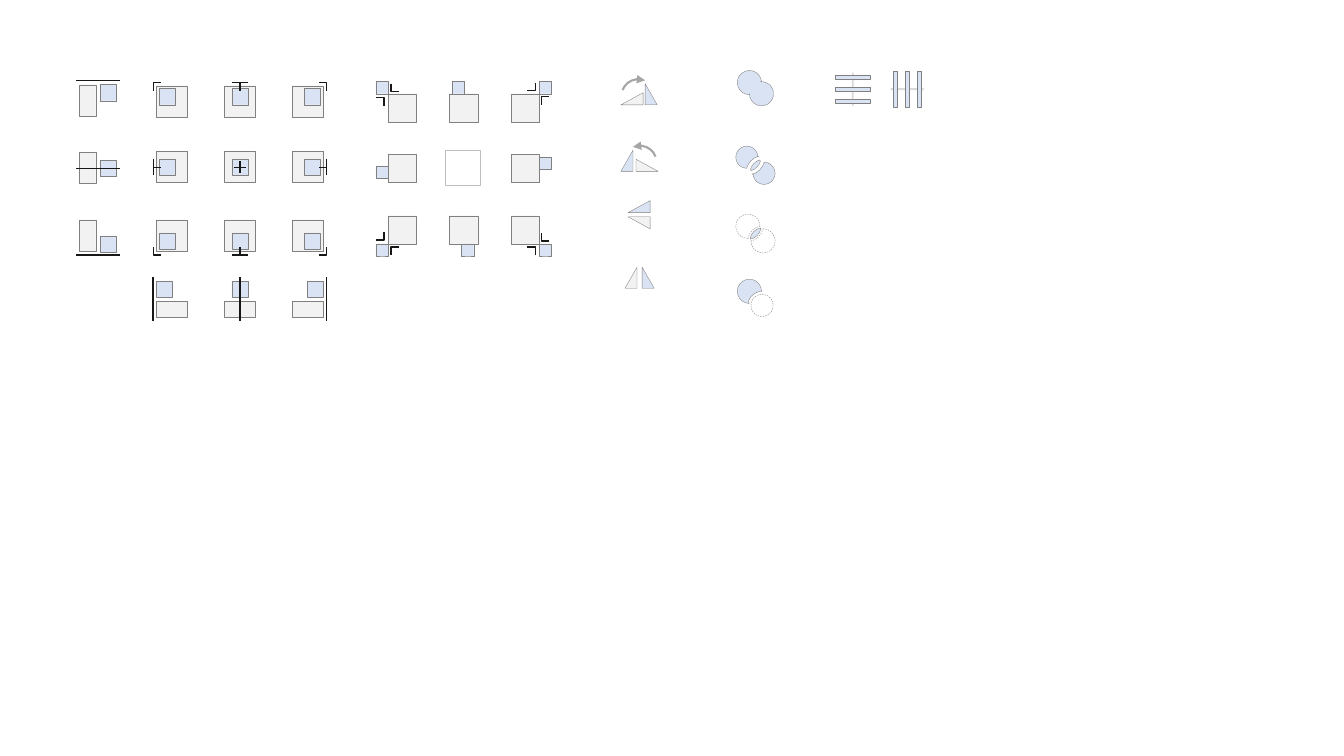
from dataclasses import dataclass
from itertools import product
from math import ceil, cos, radians, sin
from typing import NamedTuple

from lxml.etree import SubElement as Sub
from pptx import Presentation
from pptx.dml.color import RGBColor as Rgb
from pptx.enum.dml import MSO_LINE as Dash
from pptx.enum.shapes import MSO_CONNECTOR as Wire, MSO_SHAPE as Form
from pptx.oxml.ns import qn
from pptx.util import Emu, Pt

# Grid: 100 columns and 100 rows to the inch
CELL = 9144
COLS, ROWS = 1333.33, 750


@dataclass(frozen=True)
class Theme:
    pale: str = "F2F2F2"
    blue: str = "DAE3F3"
    edge: str = "808080"
    ink: str = "181717"
    frame: str = "BFBFBF"
    sweep: str = "A6A6A6"
    axis: str = "D9D9D9"
    thin: float = 0.25
    bold: float = 1
    thick: float = 1.5


LOOK = Theme()


class Hook(NamedTuple):
    x: float
    y: float
    dx: int
    dy: int


class Pin(NamedTuple):
    col: int
    row: int
    x: int
    y: int
    hooks: tuple = ()


class Wedge(NamedTuple):
    x: float
    y: float
    high: int
    fill: str
    turn: int = 0
    flip: str = ""


class Arc(NamedTuple):
    x: float
    y: float
    r: float
    start: float
    end: float


def grid(n: float) -> Emu:
    return Emu(round(n * CELL))


# Drawing tools
def paint(shape, fill=None, line=None, width=LOOK.thin, dash=False):
    shape.shadow.inherit = False
    if fill:
        shape.fill.solid()
        shape.fill.fore_color.rgb = Rgb.from_string(fill)
    else:
        shape.fill.background()
    if line:
        shape.line.color.rgb = Rgb.from_string(line)
        shape.line.width = Pt(width)
        if dash:
            shape.line.dash_style = Dash.DASH
    else:
        shape.line.fill.background()
    return shape


def box(page, x, y, w, h, fill=None, line=LOOK.edge, form=Form.RECTANGLE,
        turn=0.0, flip="", **style):
    shape = page.add_shape(form, grid(x), grid(y), grid(w), grid(h))
    shape.rotation = turn
    if flip:
        shape._element.spPr.xfrm.set(flip, "1")
    return paint(shape, fill, line, **style)


def rule(page, x1, y1, x2, y2) -> None:
    wire = page.add_connector(Wire.STRAIGHT, *map(grid, (x1, y1, x2, y2)))
    wire.line.color.rgb = Rgb.from_string(LOOK.ink)
    wire.line.width = Pt(LOOK.bold)
    Sub(wire._element.spPr, qn("a:effectLst"))


def trace(page, *runs, close=True, **style) -> None:
    pen = None
    for run in runs:
        dots = [(grid(x), grid(y)) for x, y in run]
        if pen:
            pen.move_to(*dots[0])
        else:
            pen = page.build_freeform(*dots[0], scale=1.0)
        pen.add_line_segments(dots[1:], close=close)
    paint(pen.convert_to_shape(), **style)


def mark(page, *hooks: Hook) -> None:
    runs = [[(x, y + dy), (x, y), (x + dx, y)] for x, y, dx, dy in hooks]
    trace(page, *runs, close=False, line=LOOK.ink, width=LOOK.bold)


def bend(a: Arc) -> list:
    steps = ceil(abs(a.end - a.start) / 18)
    turns = [radians(a.start + (a.end - a.start) * i / steps) for i in range(steps + 1)]
    return [(a.x + a.r * cos(t), a.y + a.r * sin(t)) for t in turns]


def blob(page, *arcs: Arc, fill=None, dash=False) -> None:
    dots = [dot for arc in arcs for dot in bend(arc)]
    trace(page, dots, fill=fill, line=LOOK.edge, dash=dash)


def venn(page, a, b, r, bite, lens, lo, hi, fill=None) -> None:
    blob(page, Arc(*a, lens, lo, hi), Arc(*b, lens, 180 + lo, 180 + hi), fill=LOOK.blue)
    style = dict(fill=fill, dash=not fill)
    blob(page, Arc(*a, r, 90, 360), Arc(*b, bite, 180 + hi, 180 + lo), **style)
    blob(page, Arc(*b, r, -90, 180), Arc(*a, bite, hi, lo), **style)


# Places of the alignment icons
LEFT, TOP = (155, 222.5, 290), (85, 150, 218)
IN_X, IN_Y = (158, 230, 302), (88, 158, 231)
RIM_X, RIM_Y = (152, 238, 324), (82, 166, 253)
OUT_X, OUT_Y = (385, 446, 507), (93, 153, 214)
PINS = (
    Pin(0, 0, 373, 81, (Hook(381, 97, -8, 8), Hook(388, 91, 8, -8))),
    Pin(1, 0, 449, 81),
    Pin(2, 0, 535, 81, (Hook(531, 90, -8, -8), Hook(537, 96, 8, 8))),
    Pin(0, 1, 373, 165),
    Pin(2, 1, 535, 156),
    Pin(0, 2, 373, 242, (Hook(381, 238, -8, -8), Hook(388, 245, 8, 8))),
    Pin(1, 2, 458, 242),
    Pin(2, 2, 535, 242, (Hook(531, 245, -8, 8), Hook(537, 239, 8, -8))),
)
WEDGES = (
    Wedge(640, 83, 21, LOOK.blue), Wedge(621, 87, 22, LOOK.pale, 270),
    Wedge(616, 149, 21, LOOK.blue, 0, "flipH"),
    Wedge(636, 153, 22, LOOK.pale, 90, "flipH"),
    Wedge(637, 265, 21, LOOK.blue), Wedge(620, 265, 21, LOOK.pale, 180, "flipV"),
    Wedge(628, 194, 22, LOOK.blue, 270), Wedge(628, 210, 22, LOOK.pale, 90, "flipV"),
)
SWEEPS = ((78, 290.7, ""), (144, 69.3, "flipH"))


def inner(page) -> None:
    for i, j in product(range(3), repeat=2):
        box(page, LEFT[i], TOP[j], 31, 31, LOOK.pale)
        box(page, IN_X[i], IN_Y[j], 16, 16, LOOK.blue)
        x, y = RIM_X[i], RIM_Y[j]
        if i == j == 1:
            rule(page, x - 6, y, x + 6, y)
            rule(page, x, y - 6, x, y + 6)
            continue
        arms = [(8, -8) if n == 1 else (8 * (1 - n),) for n in (i, j)]
        mark(page, *(Hook(x, y, dx, dy) for dx, dy in product(*arms)))


def edges(page) -> None:
    for x, small, rim in zip(LEFT, (155, 230, 305), RIM_X):
        box(page, x, 299, 31, 16, LOOK.pale)
        box(page, small, 279, 16, 16, LOOK.blue)
        rule(page, rim, 275, rim, 318)
    for y, small, rim in zip((84, 151, 218), (84, 159, 234), (80, 167, 253)):
        box(page, 79, y, 16, 31, LOOK.pale)
        box(page, 99, small, 16, 16, LOOK.blue)
        rule(page, 119, rim, 75, rim)


def outer(page) -> None:
    for pin in PINS:
        box(page, OUT_X[pin.col], OUT_Y[pin.row], 28, 28, LOOK.pale)
        box(page, pin.x, pin.y, 12, 12, LOOK.blue)
        if pin.hooks:
            mark(page, *pin.hooks)
    box(page, 442, 149, 35, 35, line=LOOK.frame, width=LOOK.bold)


def turns(page) -> None:
    for w in WEDGES:
        box(page, w.x, w.y, 12, w.high, w.fill, form=Form.RIGHT_TRIANGLE,
            turn=w.turn, flip=w.flip)
    for y, turn, flip in SWEEPS:
        arc = box(page, 617, y, 34, 35, line=LOOK.sweep, width=LOOK.thick,
                  form=Form.ARC, turn=turn, flip=flip)
        Sub(arc.line._get_or_add_ln(), qn("a:tailEnd"), type="triangle")


def merges(page) -> None:
    blob(page, Arc(743.5, 82, 12, 90, 355), Arc(755.5, 93, 12, -95, 180), fill=LOOK.blue)
    venn(page, (742, 224.5), (757, 239), 12, 15, 13, 10, 80)
    venn(page, (741, 156), (758, 172), 11, 18, 14, 16, 72, fill=LOOK.blue)
    blob(page, Arc(743.5, 289, 12, 90, 360), Arc(756, 303, 14, -90, -172), fill=LOOK.blue)
    box(page, 745, 292, 22, 22, form=Form.OVAL, dash=True)


def spreads(page) -> None:
    box(page, 845, 72, 2, 33, LOOK.axis, line=None)
    box(page, 883.5, 87.5, 33, 2, LOOK.axis, line=None)
    for i in range(3):
        box(page, 828.5, 74.5 + 12 * i, 35, 4, LOOK.blue)
        box(page, 886 + 12 * i, 71, 4, 35, LOOK.blue)


def main() -> None:
    deck = Presentation()
    deck.slide_width, deck.slide_height = grid(COLS), grid(ROWS)
    slide = deck.slides.add_slide(deck.slide_layouts[6])
    for draw in (outer, inner, edges, turns, merges, spreads):
        draw(slide.shapes)
    deck.save("out.pptx")


if __name__ == "__main__":
    main()
